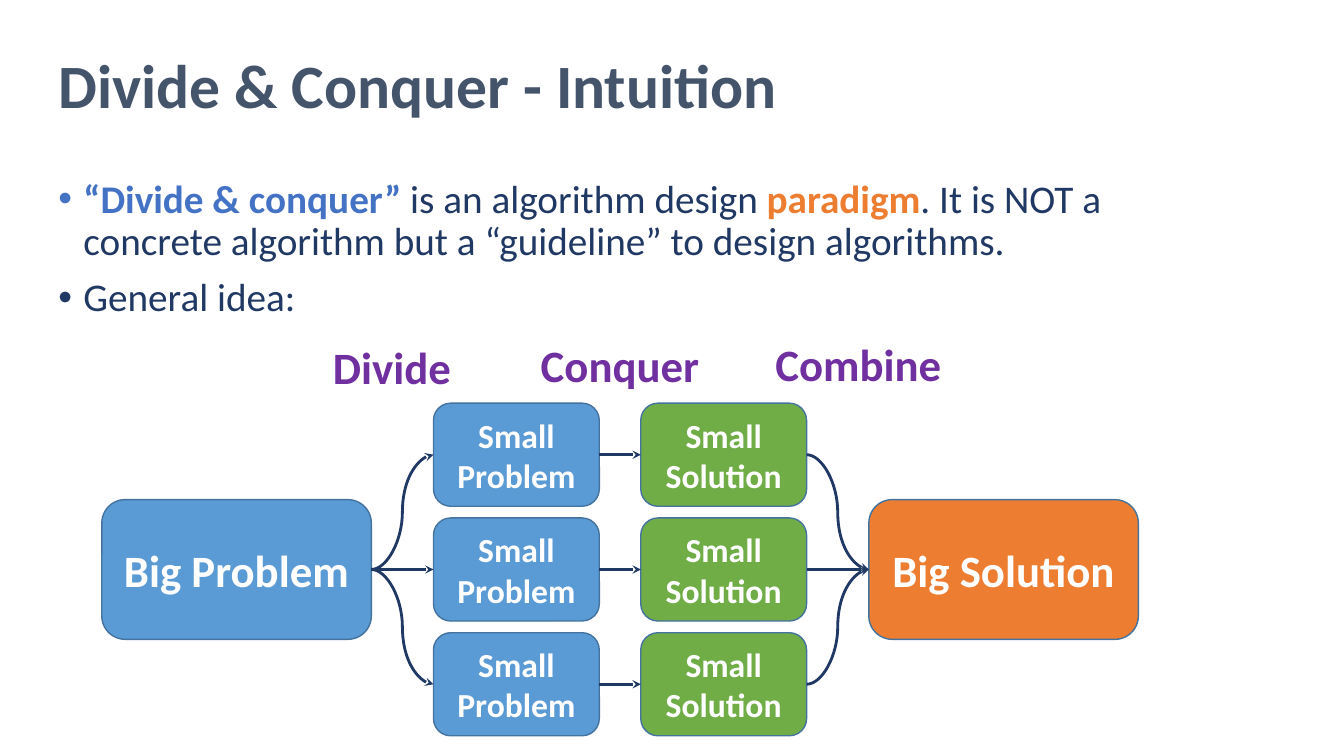
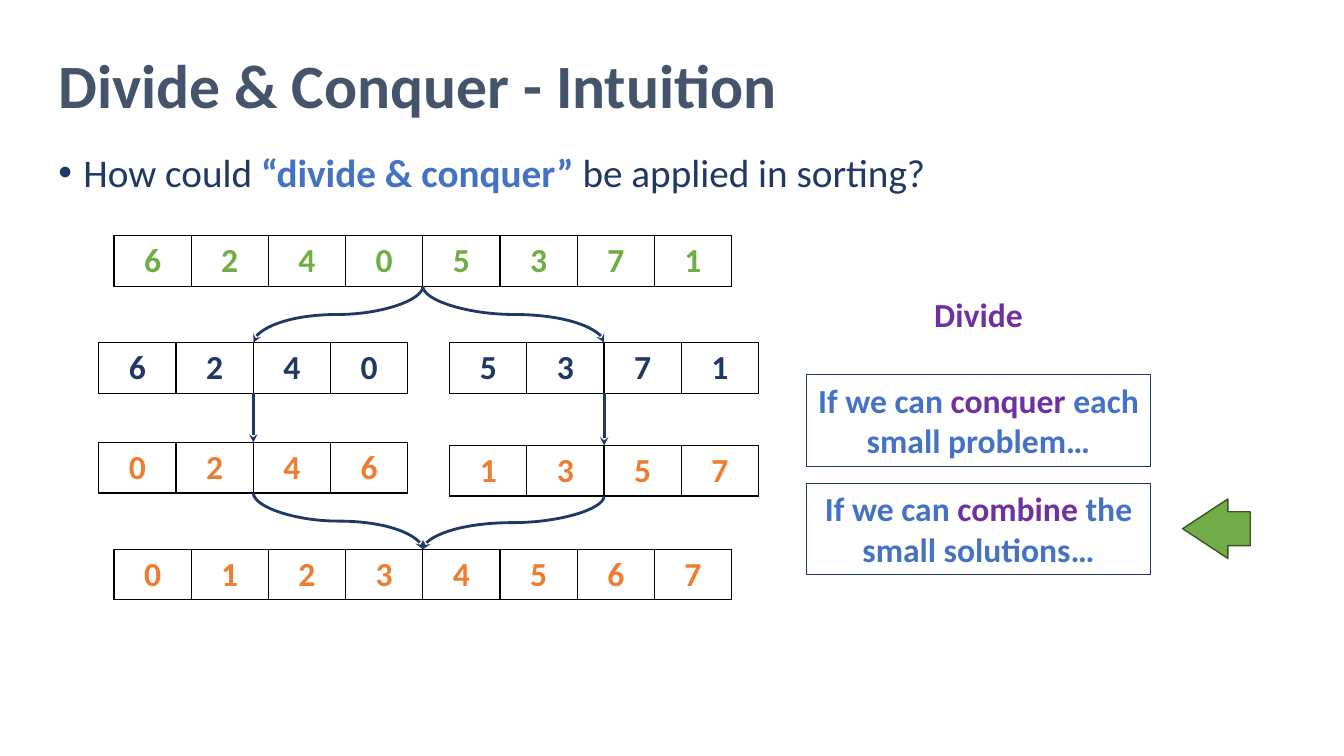
from dataclasses import dataclass

from lxml import etree
from pptx import Presentation
from pptx.dml.color import RGBColor
from pptx.enum.shapes import MSO_CONNECTOR, MSO_SHAPE
from pptx.enum.text import MSO_ANCHOR, PP_ALIGN
from pptx.oxml.ns import qn
from pptx.util import Inches, Pt

ROUND = MSO_SHAPE.ROUNDED_RECTANGLE
RECT = MSO_SHAPE.RECTANGLE
ARROW = MSO_SHAPE.LEFT_ARROW
LINE = MSO_CONNECTOR.STRAIGHT
CURVE = MSO_CONNECTOR.CURVE
MID = MSO_ANCHOR.MIDDLE
TOP = MSO_ANCHOR.TOP
CENTER = PP_ALIGN.CENTER
LEFT = PP_ALIGN.LEFT

SLATE = RGBColor(0x44, 0x54, 0x6A)
NAVY = RGBColor(0x20, 0x38, 0x64)
BLUE = RGBColor(0x44, 0x72, 0xC4)
SKY = RGBColor(0x5B, 0x9B, 0xD5)
EDGE = RGBColor(0x43, 0x73, 0x9E)
GREEN = RGBColor(0x70, 0xAD, 0x47)
MOSS = RGBColor(0x38, 0x57, 0x23)
ORANGE = RGBColor(0xED, 0x7D, 0x31)
PURPLE = RGBColor(0x70, 0x30, 0xA0)
WHITE = RGBColor(0xFF, 0xFF, 0xFF)

FONT = "Calibri"
WIDE, HIGH = 13.33, 7.5
TITLE = "Divide & Conquer - Intuition"


@dataclass
class Box:
    x: float
    y: float
    w: float
    h: float

    def cut(self, x, y, w, h):
        return Box(self.x + x * self.w, self.y + y * self.h, w * self.w, h * self.h)

    def size(self):
        return [Inches(v) for v in (self.x, self.y, self.w, self.h)]

    def west(self):
        return self.x, self.y + self.h / 2

    def east(self):
        return self.x + self.w, self.y + self.h / 2

    def north(self):
        return self.x + self.w / 2, self.y

    def south(self):
        return self.x + self.w / 2, self.y + self.h


def style(run, size, color, bold=True):
    font = run.font
    font.name, font.size, font.bold = FONT, Pt(size), bold
    font.color.rgb = color


def write(frame, lines, size, align=CENTER, anchor=TOP, wrap=True):
    frame.word_wrap = wrap
    frame.vertical_anchor = anchor
    for i, line in enumerate(lines):
        para = frame.add_paragraph() if i else frame.paragraphs[0]
        para.alignment = align
        for text, color, bold in line:
            run = para.add_run()
            run.text = text
            style(run, size, color, bold)


def label(slide, box, text, size, color, align=CENTER, anchor=TOP):
    frame = slide.shapes.add_textbox(*box.size()).text_frame
    write(frame, [[(text, color, True)]], size, align, anchor, False)
    return frame


def title(slide, box):
    frame = label(slide, box, TITLE, 44, SLATE, LEFT, MID)
    frame.paragraphs[0].line_spacing = 0.9


def points(slide, box, lines):
    frame = slide.shapes.add_textbox(*box.size()).text_frame
    write(frame, lines, 28, LEFT)
    for para in frame.paragraphs:
        para.line_spacing = 0.9
        para.space_before = Pt(10)
        prop = para._p.get_or_add_pPr()
        prop.set("marL", str(Inches(0.25)))
        prop.set("indent", str(-Inches(0.25)))
        etree.SubElement(prop, qn("a:buFont")).set("typeface", "Arial")
        etree.SubElement(prop, qn("a:buChar")).set("char", "•")


def block(slide, kind, box, fill, edge, width=1):
    shape = slide.shapes.add_shape(kind, *box.size())
    shape.shadow.inherit = False
    if fill is None:
        shape.fill.background()
    else:
        shape.fill.solid()
        shape.fill.fore_color.rgb = fill
    shape.line.color.rgb = edge
    shape.line.width = Pt(width)
    return shape


def card(slide, box, text, size, fill):
    shape = block(slide, ROUND, box, fill, EDGE)
    write(shape.text_frame, [[(text, WHITE, True)]], size, CENTER, MID)


def link(slide, start, end, kind=LINE):
    ends = [Inches(v) for v in (*start, *end)]
    line = slide.shapes.add_connector(kind, *ends)
    line.line.color.rgb = NAVY
    line.line.width = Pt(2)
    prop = line.element.spPr
    etree.SubElement(prop.find(qn("a:ln")), qn("a:tailEnd")).set("type", "stealth")
    etree.SubElement(prop, qn("a:effectLst"))
    return line


def drop(slide, start, end):
    (ax, ay), (bx, by) = start, end
    mx, my = (ax + bx) / 2, (ay + by) / 2
    dx, dy = abs(bx - ax) / 2, (by - ay) / 2
    side = -1 if bx > ax else 1
    line = link(slide, (mx - side * dy, my - dx), (mx + side * dy, my + dx), CURVE)
    turn = 90 if side > 0 else 270
    line.element.spPr.find(qn("a:xfrm")).set("rot", str(turn * 60000))


def flow(slide, box):
    whole = box.cut(0, 0.29, 0.26, 0.42)
    answer = box.cut(0.74, 0.29, 0.26, 0.42)
    card(slide, whole, "Big Problem", 32, SKY)
    card(slide, answer, "Big Solution", 32, ORANGE)
    tall = 0.31
    for i in range(3):
        y = i * (1 - tall) / 2
        task = box.cut(0.32, y, 0.16, tall)
        done = box.cut(0.52, y, 0.16, tall)
        card(slide, task, "Small Problem", 24, SKY)
        card(slide, done, "Small Solution", 24, GREEN)
        kind = LINE if i == 1 else CURVE
        link(slide, whole.east(), task.west(), kind)
        link(slide, task.east(), done.west())
        link(slide, done.east(), answer.west(), kind)


def heads(slide, box):
    steps = (("Divide", 0.28, 0.05), ("Conquer", 0.5, 0.02), ("Combine", 0.73, 0))
    for text, mid, y in steps:
        label(slide, box.cut(mid - 0.09, y, 0.18, 1), text, 32, PURPLE)


def rim(cell):
    prop = cell._tc.get_or_add_tcPr()
    for side in ("lnL", "lnR", "lnT", "lnB"):
        line = etree.SubElement(prop, qn("a:" + side), w=str(Pt(1)))
        fill = etree.SubElement(line, qn("a:solidFill"))
        etree.SubElement(fill, qn("a:srgbClr")).set("val", "000000")
    cell.fill.background()


def array(slide, box, digits, color):
    table = slide.shapes.add_table(1, len(digits), *box.size()).table
    table.first_row = table.horz_banding = False
    for i, digit in enumerate(digits):
        table.columns[i].width = Inches(box.w / len(digits))
        cell = table.cell(0, i)
        rim(cell)
        cell.text = digit
        para = cell.text_frame.paragraphs[0]
        para.alignment = CENTER
        style(para.runs[0], 24, color)
    return box


def sort(slide, box):
    def row(x, y, count, digits, color):
        place = Box(box.x + x, box.y + y, count * box.w / 8.55, 0.5)
        return array(slide, place, digits, color)

    first = row(0.15, 0, 8, "62405371", GREEN)
    last = row(0.15, 3.11, 8, "01234567", ORANGE)
    halves = ((0, 2.05, "6240", "0246"), (3.48, 2.08, "5371", "1357"))
    for x, y, mixed, tidy in halves:
        upper = row(x, 1.06, 4, mixed, NAVY)
        lower = row(x, y, 4, tidy, ORANGE)
        drop(slide, first.south(), upper.north())
        link(slide, upper.south(), lower.north())
        drop(slide, lower.south(), last.north())


def notes(slide, box):
    label(slide, box.cut(0.33, 0, 0.34, 0.18), "Divide", 24, PURPLE)
    cards = ((0.3, "conquer", " each small problem…"),
             (0.68, "combine", " the small solutions…"))
    for y, verb, rest in cards:
        shape = block(slide, RECT, box.cut(0, y, 1, 0.32), None, NAVY, 0.75)
        line = [("If we can ", BLUE, True), (verb, PURPLE, True), (rest, BLUE, True)]
        write(shape.text_frame, [line], 24)


def mark(slide, box):
    shape = block(slide, ARROW, box, GREEN, MOSS)
    shape.adjustments[0] = 0.57
    shape.adjustments[1] = 0.76


def page(deck):
    slide = deck.slides.add_slide(deck.slide_layouts[6])
    title(slide, Box(0.48, 0.47, 10.72, 0.82))
    return slide


def idea(deck):
    slide = page(deck)
    points(slide, Box(0.48, 1.73, 11.5, 1.77), [
        [("“Divide & conquer” ", BLUE, True),
         ("is an algorithm design ", NAVY, False),
         ("paradigm", ORANGE, True),
         (". It is NOT a concrete algorithm but a “guideline” to design algorithms.",
          NAVY, False)],
        [("General idea:", NAVY, False)]])
    flow(slide, Box(1.01, 4, 10.28, 3.3))
    heads(slide, Box(1.01, 3.29, 10.28, 0.64))


def sample(deck):
    slide = page(deck)
    points(slide, Box(0.48, 1.47, 11.5, 0.61), [
        [("How could ", NAVY, False),
         ("“divide & conquer” ", BLUE, True),
         ("be applied in sorting?", NAVY, False)]])
    sort(slide, Box(0.98, 2.34, 6.55, 3.61))
    notes(slide, Box(8, 2.87, 3.41, 2.83))
    mark(slide, Box(11.73, 4.95, 0.67, 0.59))


def main():
    deck = Presentation()
    deck.slide_width, deck.slide_height = Inches(WIDE), Inches(HIGH)
    idea(deck)
    sample(deck)
    deck.save("out.pptx")


if __name__ == "__main__":
    main()
